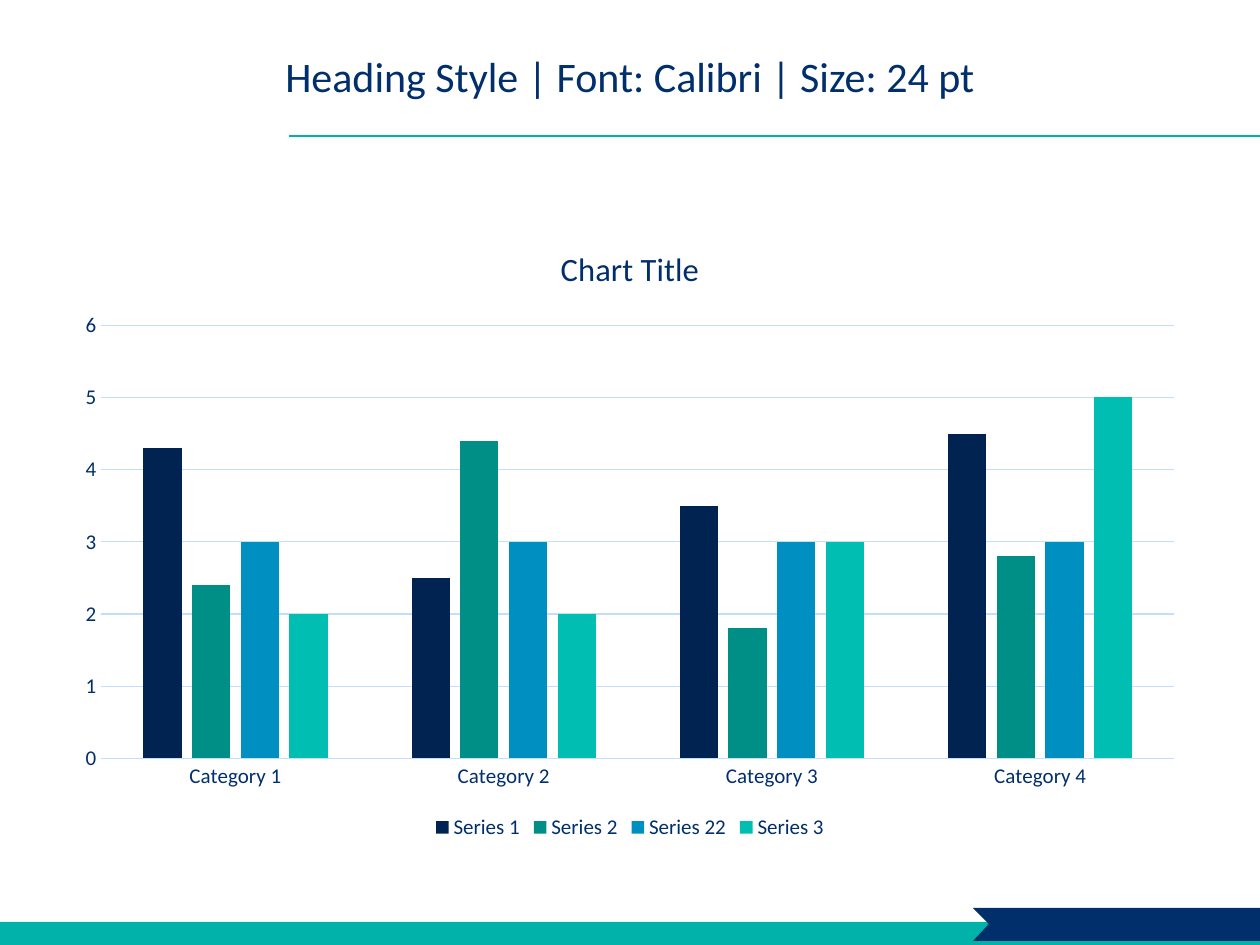
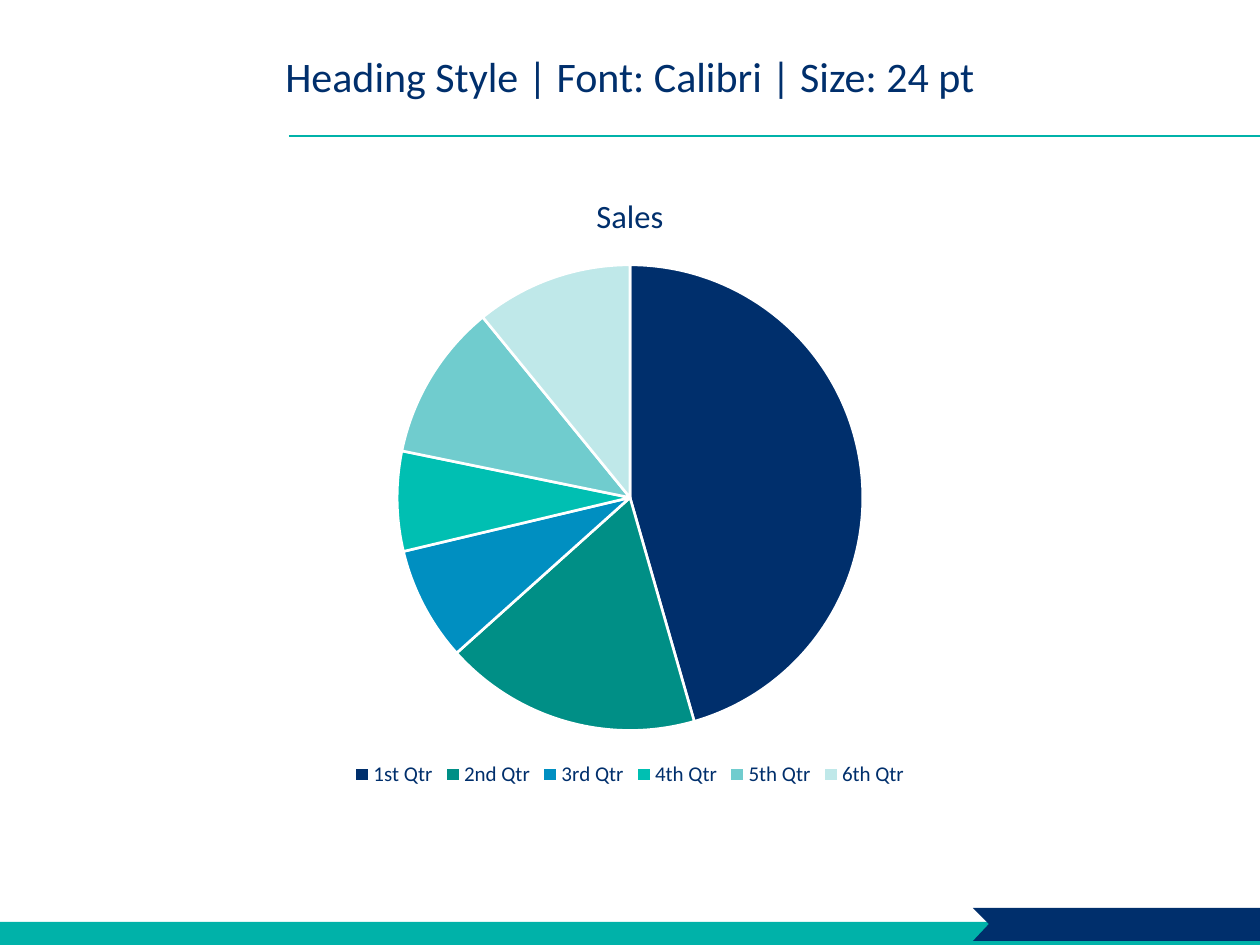
"""Build two slides that show the house style for a column chart and a pie chart."""
from dataclasses import dataclass

from lxml import etree
from pptx import Presentation
from pptx.chart.data import CategoryChartData
from pptx.dml.color import RGBColor
from pptx.enum.chart import XL_CHART_TYPE, XL_LEGEND_POSITION, XL_TICK_MARK
from pptx.enum.shapes import MSO_CONNECTOR, MSO_SHAPE
from pptx.enum.text import MSO_ANCHOR, PP_ALIGN
from pptx.oxml.ns import qn
from pptx.util import Emu, Pt

COLUMN = XL_CHART_TYPE.COLUMN_CLUSTERED
PIE = XL_CHART_TYPE.PIE
LEGEND_BOTTOM = XL_LEGEND_POSITION.BOTTOM
NO_TICK = XL_TICK_MARK.NONE
STRAIGHT = MSO_CONNECTOR.STRAIGHT
RECTANGLE = MSO_SHAPE.RECTANGLE
MIDDLE = MSO_ANCHOR.MIDDLE
LEFT = PP_ALIGN.LEFT

PIXEL = 914400 / 126
SLIDE_WIDTH, SLIDE_HEIGHT = 1260, 945


@dataclass(frozen=True)
class Theme:
    """Hold the colours and type sizes of the deck."""
    font: str = "Calibri"
    navy: str = "002F6C"
    teal: str = "00B2A9"
    grid: str = "C3DDFF"
    white: str = "FFFFFF"
    columns: tuple = ("002351", "008F86", "008FC1", "00BFB2")
    slices: tuple = ("002F6C", "008F86", "008FC1", "00BFB2", "70CCCE", "BFE8E9")
    heading_size: float = 24
    chart_title_size: float = 18.6
    label_size: float = 12
    base_size: float = 10


THEME = Theme()

HEADING = "Heading Style | Font: Calibri | Size: 24 pt"
HEADING_BOX = (273, 16, 935, 120)
RULE = (289, 136, SLIDE_WIDTH, 136)
FOOTER_BAND = (0, 922, SLIDE_WIDTH, 23)
RIBBON = [(973, 941), (1261, 941), (1261, 908), (973, 908), (989, 924)]

CHARTS = [
    {
        "kind": COLUMN,
        "title": "Chart Title",
        "box": (63, 221, 1134, 624),
        "categories": ["Category 1", "Category 2", "Category 3", "Category 4"],
        "series": {
            "Series 1": (4.3, 2.5, 3.5, 4.5),
            "Series 2": (2.4, 4.4, 1.8, 2.8),
            "Series 22": (3, 3, 3, 3),
            "Series 3": (2, 2, 3, 5),
        },
    },
    {
        "kind": PIE,
        "title": "Sales",
        "box": (63, 168, 1134, 624),
        "categories": ["1st Qtr", "2nd Qtr", "3rd Qtr", "4th Qtr", "5th Qtr", "6th Qtr"],
        "series": {"Sales": (46, 18, 8, 7, 11, 11)},
    },
]


def scale(*pixels):
    return [Emu(round(pixel * PIXEL)) for pixel in pixels]


def style_font(font, size):
    font.name = THEME.font
    font.size = Pt(size)
    font.bold = False
    font.color.rgb = RGBColor.from_string(THEME.navy)


def fill_solid(target, color):
    target.fill.solid()
    target.fill.fore_color.rgb = RGBColor.from_string(color)


def style_line(line, color, width):
    line.color.rgb = RGBColor.from_string(color)
    line.width = Pt(width)


def style_block(shape, color):
    shape.shadow.inherit = False
    fill_solid(shape, color)
    shape.line.fill.background()


def add_frame(slide):
    rule = slide.shapes.add_connector(STRAIGHT, *scale(*RULE))
    style_line(rule.line, THEME.teal, 1)
    etree.SubElement(rule._element.spPr, qn("a:effectLst"))

    style_block(slide.shapes.add_shape(RECTANGLE, *scale(*FOOTER_BAND)), THEME.teal)

    corners = [scale(*corner) for corner in RIBBON]
    builder = slide.shapes.build_freeform(*corners[0])
    builder.add_line_segments(corners[1:], close=True)
    style_block(builder.convert_to_shape(), THEME.navy)


def add_heading(slide):
    text_frame = slide.shapes.add_textbox(*scale(*HEADING_BOX)).text_frame
    text_frame.word_wrap = True
    text_frame.vertical_anchor = MIDDLE
    text_frame.text = HEADING
    paragraph = text_frame.paragraphs[0]
    paragraph.alignment = LEFT
    style_font(paragraph.runs[0].font, THEME.heading_size)


def style_columns(chart):
    plot = chart.plots[0]
    plot.gap_width = 219
    plot.overlap = -27
    for series, color in zip(plot.series, THEME.columns):
        fill_solid(series.format, color)
        series.invert_if_negative = False
    for axis in (chart.category_axis, chart.value_axis):
        axis.major_tick_mark = axis.minor_tick_mark = NO_TICK
        style_font(axis.tick_labels.font, THEME.label_size)
    style_line(chart.category_axis.format.line, THEME.grid, 0.75)
    value_axis = chart.value_axis
    value_axis.minimum_scale, value_axis.maximum_scale = 0, 6
    value_axis.major_unit = 1
    value_axis.format.line.fill.background()
    value_axis.has_major_gridlines = True
    style_line(value_axis.major_gridlines.format.line, THEME.grid, 0.75)


def style_slices(chart):
    series = chart.plots[0].series[0]
    for index, color in enumerate(THEME.slices):
        point_format = series.points[index].format
        fill_solid(point_format, color)
        style_line(point_format.line, THEME.white, 1.5)


def add_chart(slide, content):
    data = CategoryChartData()
    data.categories = content["categories"]
    for name, values in content["series"].items():
        data.add_series(name, values)
    chart = slide.shapes.add_chart(content["kind"], *scale(*content["box"]), data).chart
    style_font(chart.font, THEME.base_size)

    chart.has_title = True
    title_frame = chart.chart_title.text_frame
    title_frame.text = content["title"]
    style_font(title_frame.paragraphs[0].runs[0].font, THEME.chart_title_size)
    chart.chart_title.include_in_layout = False

    chart.has_legend = True
    chart.legend.position = LEGEND_BOTTOM
    chart.legend.include_in_layout = False
    style_font(chart.legend.font, THEME.label_size)

    is_pie = content["kind"] == PIE
    chart.plots[0].vary_by_categories = is_pie
    if is_pie:
        style_slices(chart)
    else:
        style_columns(chart)


def main():
    presentation = Presentation()
    presentation.slide_width, presentation.slide_height = scale(SLIDE_WIDTH, SLIDE_HEIGHT)
    for content in CHARTS:
        slide = presentation.slides.add_slide(presentation.slide_layouts[6])
        add_frame(slide)
        add_heading(slide)
        add_chart(slide, content)
    presentation.save("out.pptx")


main()
